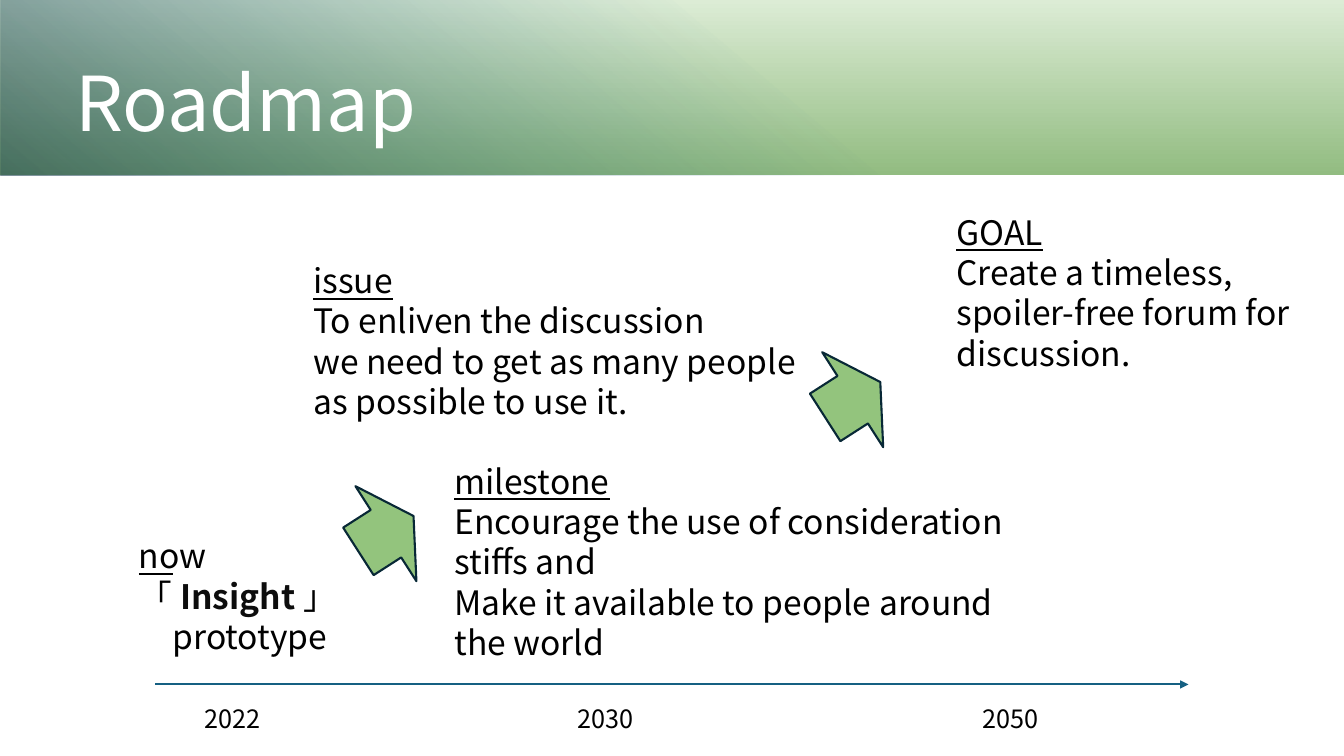
from lxml import etree
from pptx import Presentation
from pptx.dml.color import RGBColor as RGB
from pptx.enum.shapes import MSO_CONNECTOR as LINK, MSO_SHAPE as FORM
from pptx.enum.text import MSO_ANCHOR as ANCHOR
from pptx.oxml import parse_xml
from pptx.oxml.ns import qn
from pptx.util import Pt

FONT = "Noto Sans CJK JP"
NS = 'xmlns:a="http://schemas.openxmlformats.org/drawingml/2006/main"'
HUE = {
    "black": "000000", "white": "FFFFFF", "ink": "0D0D0D",
    "pale": "DCECD5", "leaf": "92BC81", "teal": "156082", "deep": "0A3041",
    "arrow": "93C47D", "edge": "082836",
}


def color(name):
    return RGB.from_string(HUE[name])


def add_run(para, text, size, hue="black", bold=False, under=False, mark=None):
    run = para.add_run()
    run.text = text
    font = run.font
    font.size, font.bold, font.underline = Pt(size), bold, under
    font.color.rgb = color(hue)
    font.name = FONT
    props = run._r.get_or_add_rPr()
    east = etree.Element(qn("a:ea"), typeface=FONT)
    props.find(qn("a:latin")).addnext(east)
    if mark:
        light = parse_xml(f'<a:highlight {NS}><a:srgbClr val="{HUE[mark]}"/></a:highlight>')
        props.find(qn("a:solidFill")).addnext(light)


def add_text(slide, box, paras, size=24, hue="black", space=None, anchor=ANCHOR.TOP):
    """Each paragraph is a list of (text, format) pairs."""
    frame = slide.shapes.add_textbox(*map(Pt, box)).text_frame
    frame.word_wrap = True
    frame.vertical_anchor = anchor
    for i, runs in enumerate(paras):
        para = frame.paragraphs[0] if i == 0 else frame.add_paragraph()
        para.line_spacing = space or Pt(size * 1.2)
        for text, form in runs:
            add_run(para, text, size, **{"hue": hue, **form})


def add_note(slide, box, head, *lines):
    paras = [[(head, {"under": True})]]
    paras += [[(line, {})] if isinstance(line, str) else line for line in lines]
    add_text(slide, box, paras)


def add_band(slide, width, stops, angle, turn=0):
    """Stops are (position %, colour, opacity %)."""
    band = slide.shapes.add_shape(FORM.RECTANGLE, 0, 0, Pt(width), Pt(125.3))
    band.shadow.inherit = False
    band.line.fill.background()
    band.rotation = turn
    props = band._element.spPr
    props.find(qn("a:xfrm")).set("flipH", "1")
    marks = "".join(
        f'<a:gs pos="{pos * 1000}"><a:srgbClr val="{HUE[hue]}">'
        f'<a:alpha val="{alpha * 1000}"/></a:srgbClr></a:gs>'
        for pos, hue, alpha in stops)
    fill = parse_xml(f'<a:gradFill {NS} rotWithShape="1"><a:gsLst>{marks}</a:gsLst>'
                     f'<a:lin ang="{angle * 60000}" scaled="0"/></a:gradFill>')
    props.find(qn("a:prstGeom")).addnext(fill)


def add_axis(slide, left, right, top):
    axis = slide.shapes.add_connector(LINK.STRAIGHT, Pt(left), Pt(top), Pt(right), Pt(top))
    axis.line.color.rgb = color("teal")
    axis.line.width = Pt(1.5)
    axis.line._get_or_add_ln().append(parse_xml(f'<a:tailEnd {NS} type="triangle"/>'))
    axis._element.spPr.append(parse_xml(f"<a:effectLst {NS}/>"))


def add_arrow(slide, left, top):
    arrow = slide.shapes.add_shape(FORM.DOWN_ARROW, Pt(left), Pt(top), Pt(80.6), Pt(46.8))
    arrow.shadow.inherit = False
    arrow.rotation = 237.3
    arrow.fill.solid()
    arrow.fill.fore_color.rgb = color("arrow")
    arrow.line.color.rgb = color("edge")
    arrow.line.width = Pt(1.5)


def main():
    deck = Presentation()
    deck.slide_width, deck.slide_height = Pt(960), Pt(540)
    slide = deck.slides.add_slide(deck.slide_layouts[6])

    # Header
    add_band(slide, 960, [(0, "pale", 100), (100, "leaf", 100)], 90)
    add_band(slide, 639.4, [(0, "teal", 0), (20, "teal", 0), (100, "deep", 55)], 230, turn=180)
    add_text(slide, (46.8, 36, 779, 81.4), [[("Roadmap", {})]],
             size=54, hue="white", space=0.9, anchor=ANCHOR.MIDDLE)

    # Time line
    add_axis(slide, 110.9, 848.9, 488.9)
    for year, left in (("2022", 139), ("2030", 405.4), ("2050", 694.8)):
        add_text(slide, (left, 499, 54.7, 36), [[(year, {})]], size=18)

    # Stages
    add_note(slide, (676.1, 147.6, 257, 152.6), "GOAL",
             "Create a timeless, spoiler-free forum for discussion.")
    add_note(slide, (317.5, 325.4, 427.7, 181.4), "milestone",
             "Encourage the use of consideration stiffs and",
             "Make it available to people around the world")
    name = [("「", {}), (" Insight ", {"hue": "ink", "bold": True, "mark": "white"}), ("」", {})]
    add_note(slide, (92.2, 378.7, 184.3, 94.3), "now", name, "　prototype")
    add_note(slide, (216.7, 182.2, 375.1, 181.4), "issue",
             "To enliven the discussion",
             "we need to get as many people as possible to use it.")

    # Steps upward
    for left, top in ((235.4, 357.8), (568.8, 262.1)):
        add_arrow(slide, left, top)

    deck.save("out.pptx")


if __name__ == "__main__":
    main()
